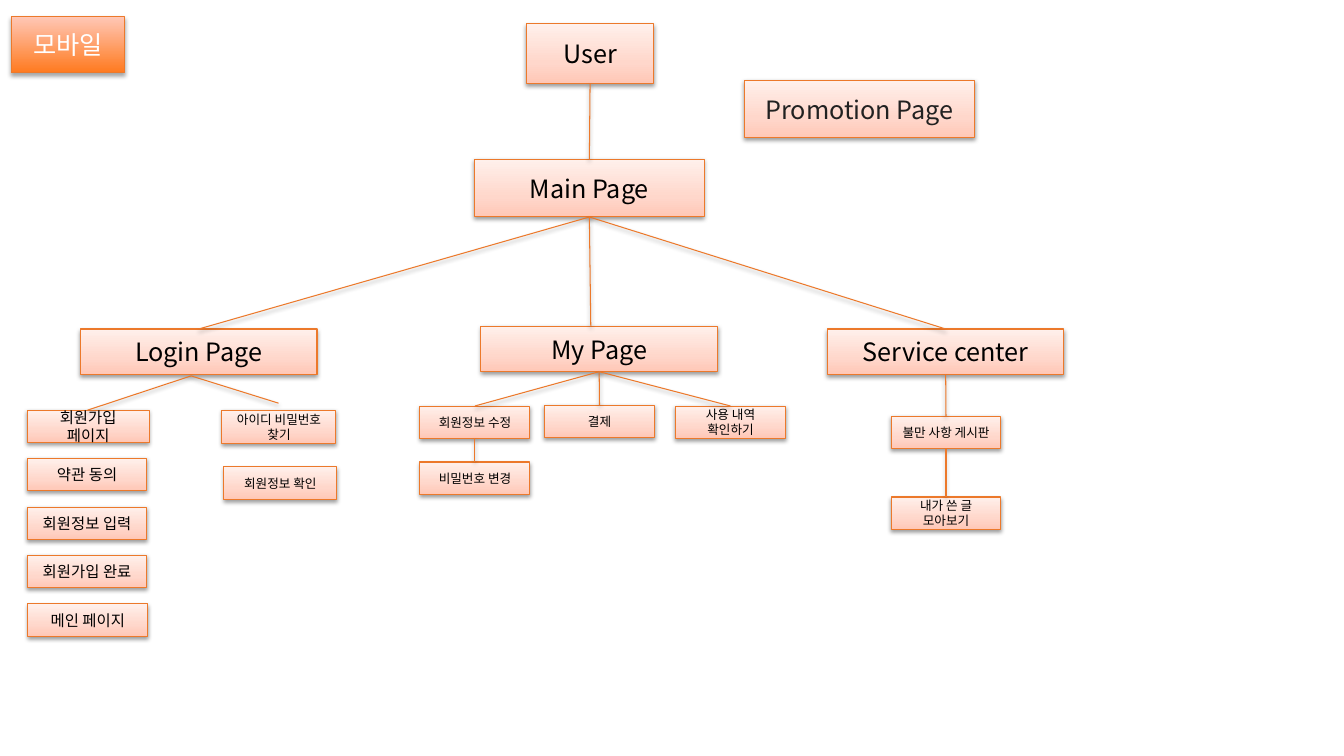
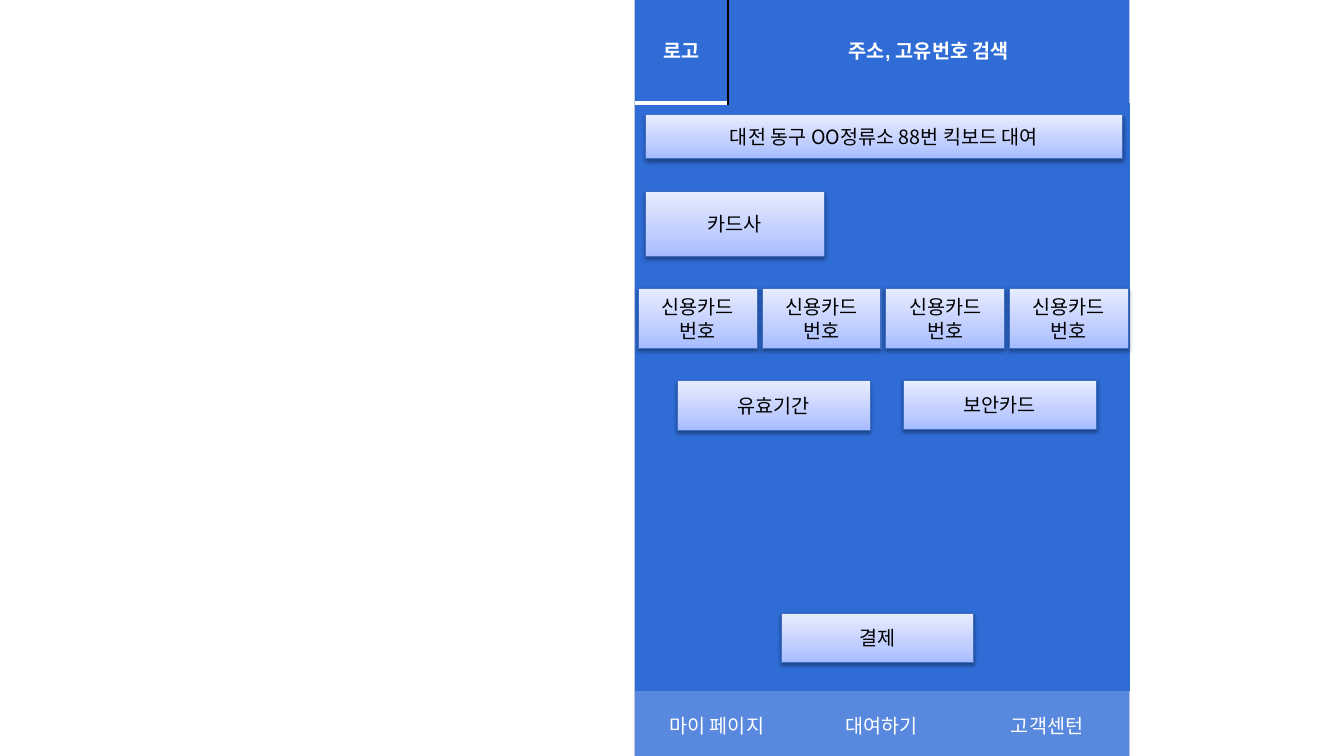
from copy import deepcopy
from dataclasses import dataclass

from lxml.etree import SubElement
from pptx import Presentation
from pptx.dml.color import RGBColor
from pptx.enum.shapes import MSO_CONNECTOR, MSO_SHAPE
from pptx.enum.text import MSO_ANCHOR, PP_ALIGN
from pptx.oxml.ns import qn
from pptx.util import Pt

TOP, BOTTOM = 0, 2


@dataclass(frozen=True)
class Theme:
    """Colours, fonts and type sizes of the deck."""
    korean_font: str = "Noto Sans CJK KR"
    table_font: str = "Arial"
    page_size: int = 18
    screen_size: int = 14
    step_size: int = 11
    detail_size: int = 9
    black: str = "000000"
    white: str = "FFFFFF"
    charcoal: str = "212121"
    orange_line: str = "EC792B"
    blue_line: str = "3F6FC3"
    pale_line: str = "BCC4E0"
    screen_blue: str = "2F6CD6"
    menu_blue: str = "5989DE"
    badge: tuple = ((0, "FF7A1F"), (1, "FFC7B6"))
    peach: tuple = ((0, "FFC7B6"), (0.35, "FFD7CB"), (1, "FFF0EB"))
    sky: tuple = ((0, "A6BBFF"), (0.35, "C0CEFF"), (1, "E7ECFF"))


class Painter:
    """Draws themed elements on the current slide."""

    def __init__(self, deck, theme):
        """Keep the deck and its theme."""
        self.deck = deck
        self.theme = theme
        self.page = None

    def new_page(self):
        """Start a blank slide."""
        self.page = self.deck.slides.add_slide(self.deck.slide_layouts[6])

    def style_text(self, frame, size, color, font, bold=False):
        """Centre the text and format its runs."""
        for para in frame.paragraphs:
            para.alignment = PP_ALIGN.CENTER
            for span in para.runs:
                span.font.size = Pt(size)
                span.font.bold = bold
                span.font.name = font
                span.font.color.rgb = RGBColor.from_string(color)
                east_asian = SubElement(span.font._element, qn("a:ea"))
                east_asian.set("typeface", self.theme.korean_font)

    def add_shadow(self, shape, opacity=38, distance=1.6):
        """Give a shape or connector a soft shadow below it."""
        effects = SubElement(shape._element.spPr, qn("a:effectLst"))
        shadow = SubElement(effects, qn("a:outerShdw"), blurRad=str(Pt(3.1)),
                            dist=str(Pt(distance)), dir="5400000", rotWithShape="0")
        color = SubElement(shadow, qn("a:srgbClr"), val=self.theme.black)
        SubElement(color, qn("a:alpha"), val=str(opacity * 1000))

    def fill_gradient(self, shape, stops):
        """Fill a shape with a gradient that rises from the bottom."""
        shape.fill.gradient()
        shape.fill.gradient_angle = 90
        stop_list = shape._element.spPr.find(".//" + qn("a:gsLst"))
        while len(stop_list) < len(stops):
            stop_list.append(deepcopy(stop_list[-1]))
        for stop, (position, color) in zip(shape.fill.gradient_stops, stops):
            stop.position = position
            stop.color.rgb = RGBColor.from_string(color)

    def box(self, text, left, top, width, height, size, color=None,
            stops=None, line=None, opacity=38, distance=1.6):
        """Add a shaded rectangle with centred text."""
        theme = self.theme
        box = self.page.shapes.add_shape(
            MSO_SHAPE.RECTANGLE, Pt(left), Pt(top), Pt(width), Pt(height))
        self.fill_gradient(box, stops or theme.peach)
        box.line.color.rgb = RGBColor.from_string(line or theme.orange_line)
        box.line.width = Pt(0.75)
        self.add_shadow(box, opacity, distance)
        box.text_frame.word_wrap = True
        box.text_frame.vertical_anchor = MSO_ANCHOR.MIDDLE
        box.text_frame.text = text
        self.style_text(box.text_frame, size, color or theme.black, theme.korean_font)
        return box

    def detail(self, text, left, top, width=78.5, height=23):
        """Add a small sub-page box."""
        return self.box(text, left, top, width, height, self.theme.detail_size)

    def field(self, text, left, top, width=137.5, height=35.5):
        """Add a blue field of the phone screen."""
        return self.box(text, left, top, width, height, self.theme.screen_size,
                        stops=self.theme.sky, line=self.theme.blue_line)

    def link(self, start=(0, 0), end=(0, 0)):
        """Add a straight line between two points."""
        link = self.page.shapes.add_connector(
            MSO_CONNECTOR.STRAIGHT, *(Pt(value) for value in (*start, *end)))
        link.line.color.rgb = RGBColor.from_string(self.theme.orange_line)
        link.line.width = Pt(0.75)
        self.add_shadow(link)
        return link

    def join(self, parent, child):
        """Link the bottom of one box to the top of another."""
        link = self.link()
        link.begin_connect(parent, BOTTOM)
        link.end_connect(child, TOP)

    def table(self, left, top, widths, heights):
        """Add a blue table without text."""
        table = self.page.shapes.add_table(
            len(heights), len(widths), Pt(left), Pt(top),
            Pt(sum(widths)), Pt(sum(heights))).table
        table.first_row = table.horz_banding = False
        for column, width in zip(table.columns, widths):
            column.width = Pt(width)
        for row, height in zip(table.rows, heights):
            row.height = Pt(height)
        return table

    def cell(self, cell, fill, text="", bold=False, **borders):
        """Set the fill, text and borders of a cell."""
        cell.fill.solid()
        cell.fill.fore_color.rgb = RGBColor.from_string(fill)
        cell.vertical_anchor = MSO_ANCHOR.MIDDLE
        cell.text_frame.text = text
        self.style_text(cell.text_frame, self.theme.screen_size, self.theme.white,
                        self.theme.table_font, bold)
        properties = cell._tc.get_or_add_tcPr()
        for index, side in enumerate("LRTB"):
            color, width = borders.get(side, (None, 0))
            edge = SubElement(properties, qn("a:ln" + side), w=str(Pt(width)))
            if color:
                paint = SubElement(edge, qn("a:solidFill"))
                SubElement(paint, qn("a:srgbClr"), val=color)
            else:
                SubElement(edge, qn("a:noFill"))
            properties.insert(index, edge)


def draw_site_map(painter):
    """Draw the map of the mobile pages."""
    theme = painter.theme
    size = theme.page_size
    painter.new_page()
    painter.box("모바일", 8, 12, 81, 40, size, theme.white, theme.badge,
                opacity=35, distance=1.8)
    user = painter.box("User", 376, 17, 91, 42.5, size)
    painter.box("Promotion Page", 532, 57.5, 164, 41, size, theme.charcoal)
    main_page = painter.box("Main Page", 339, 114, 164, 41, size)
    login = painter.box("Login Page", 57.5, 235, 169, 32.5, size)
    my_page = painter.box("My Page", 343.5, 233, 169, 32.5, size)
    service = painter.box("Service center", 591, 235, 169, 32.5, size)

    steps = ["회원가입 페이지", "약관 동의", "회원정보 입력", "회원가입 완료", "메인 페이지"]
    for index, step in enumerate(steps):
        painter.box(step, 20 if index == 4 else 19.5, 293 + 34.6 * index,
                    87 if index == 0 else 85.5, 23, theme.step_size)
    painter.detail("아이디 비밀번호\n찾기", 158.5, 293, 81.5, 24)
    painter.detail("회원정보 확인", 160, 333.5, 80.5)

    edit = painter.detail("회원정보 수정", 300, 290)
    password = painter.detail("비밀번호 변경", 300, 330)
    payment = painter.detail("결제", 389, 289.5)
    history = painter.detail("사용 내역 확인하기", 482.5, 290)
    complaints = painter.detail("불만 사항 게시판", 636.5, 297.5)
    own_posts = painter.detail("내가 쓴 글 모아보기", 636.5, 355)

    for parent, child in [
            (user, main_page), (main_page, login), (main_page, service),
            (my_page, edit), (my_page, payment), (my_page, history),
            (edit, password), (service, complaints), (complaints, own_posts)]:
        painter.join(parent, child)
    painter.link((421, 155), (422, 233))
    for end in [(62.5, 293), (199, 288)]:
        painter.link((136.5, 268.5), end)


def draw_payment_screen(painter):
    """Draw the payment screen of the phone."""
    theme = painter.theme
    pale, divider = (theme.pale_line, 0.75), (theme.black, 1)
    painter.new_page()
    screen = painter.table(453, 73.5, [118] * 3, [420, 48])
    screen.cell(0, 0).merge(screen.cell(0, 2))
    menu = ["마이 페이지", "대여하기", "고객센턴"]
    sides = [{"L": pale}, {}, {"R": pale}]
    for column, (label, edges) in enumerate(zip(menu, sides)):
        painter.cell(screen.cell(0, column), theme.screen_blue, **edges)
        painter.cell(screen.cell(1, column), theme.menu_blue, label, B=pale, **edges)

    header = painter.table(453, -1.5, [67, 287], [75])
    painter.cell(header.cell(0, 0), theme.screen_blue, "로고", True,
                 L=pale, T=pale, R=divider, B=(theme.white, 3))
    painter.cell(header.cell(0, 1), theme.screen_blue, "주소, 고유번호 검색", True,
                 L=divider, T=pale, R=pale)

    painter.field("대전 동구 OO정류소 88번 킥보드 대여", 461, 82, 341, 31)
    painter.field("카드사", 461, 137, 128, 46)
    for index in range(4):
        painter.field("신용카드 번호", 456 + 88.3 * index, 206, 85, 43)
    painter.field("유효기간", 484, 272)
    painter.field("보안카드", 645.5, 271.5)
    painter.field("결제", 558, 438)


def main():
    """Build and save the deck."""
    deck = Presentation()
    deck.slide_width, deck.slide_height = Pt(960), Pt(540)
    painter = Painter(deck, Theme())
    draw_site_map(painter)
    draw_payment_screen(painter)
    deck.save("out.pptx")


if __name__ == "__main__":
    main()
